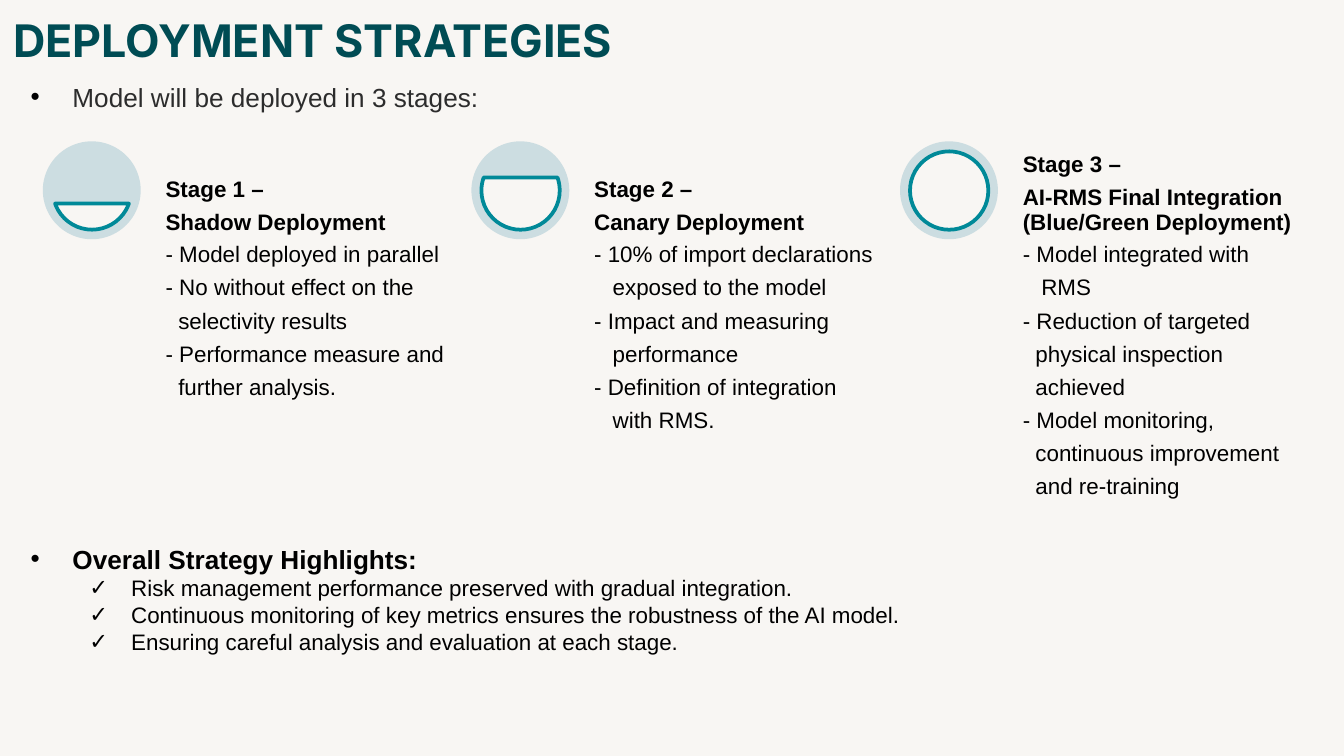
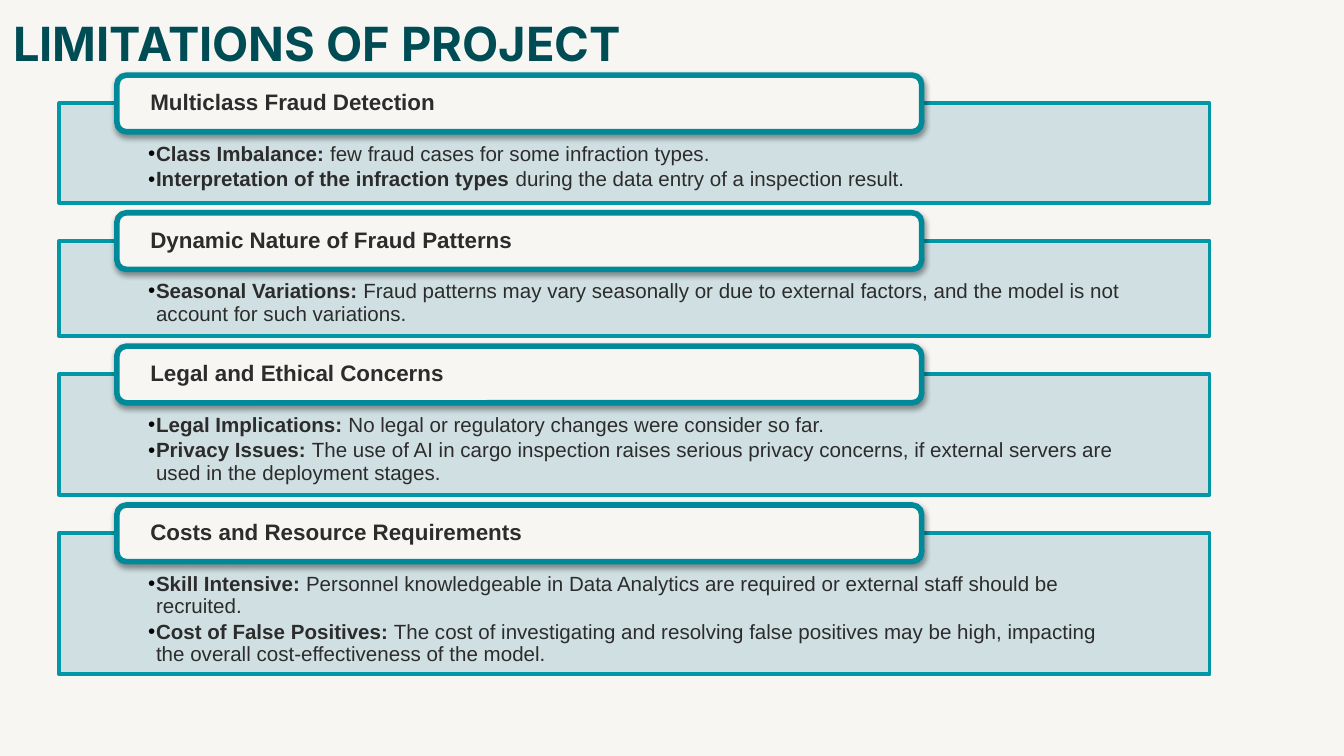
"""Build two slides on deployment strategies and project limitations."""
from dataclasses import dataclass

from lxml.etree import SubElement
from pptx import Presentation
from pptx.dml.color import RGBColor as RGB
from pptx.enum.shapes import MSO_SHAPE as SHAPE
from pptx.enum.text import MSO_ANCHOR as ANCHOR, PP_ALIGN as ALIGN
from pptx.oxml.ns import qn
from pptx.util import Cm, Pt


@dataclass(frozen=True)
class Theme:
    paper: str = "F8F6F3"
    title: str = "004C54"
    ink: str = "2C2C2C"
    black: str = "000000"
    pale: str = "CCDDE1"
    teal: str = "008998"
    edge: str = "0097A7"
    title_font: str = "Inter"
    font: str = "Arial"
    lead: float = 14
    text: float = 12
    detail: float = 11


T = Theme()


def add_box(s, kind, at, fill=None, line=None, inset=(0.25, 0.13, 0.25, 0.13), anchor=ANCHOR.TOP):
    at = [Cm(v) for v in at]
    if kind is None:
        sp = s.shapes.add_textbox(*at)
    else:
        sp = s.shapes.add_shape(kind, *at)
        sp.shadow.inherit = False
        sp.fill.solid()
        sp.fill.fore_color.rgb = RGB.from_string(fill)
        if line:
            sp.line.color.rgb = RGB.from_string(line[0])
            sp.line.width = Pt(line[1])
        else:
            sp.line.fill.background()
    tf = sp.text_frame
    tf.word_wrap = True
    tf.vertical_anchor = anchor
    tf.margin_left, tf.margin_top, tf.margin_right, tf.margin_bottom = [Cm(v) for v in inset]
    return sp


def add_para(tf, runs, size, color=T.black, font=T.font, left=0, hang=0, bullet=None,
             level=0, spacing=None, after=0):
    p = tf.paragraphs[0] if not tf.paragraphs[0].runs else tf.add_paragraph()
    pPr = p._p.get_or_add_pPr()
    pPr.set("marL", str(Cm(left)))
    pPr.set("indent", str(-Cm(hang)))
    if bullet:
        SubElement(SubElement(pPr, qn("a:buClr")), qn("a:srgbClr"), val=T.black)
        SubElement(pPr, qn("a:buFont"), typeface=T.font)
        SubElement(pPr, qn("a:buChar"), char=bullet)
    p.level = level
    p.alignment = ALIGN.LEFT
    p.space_after = Pt(after)
    if spacing:
        p.line_spacing = spacing
    for text, bold in runs:
        r = p.add_run()
        r.text = text
        r.font.name = font
        r.font.size = Pt(size)
        r.font.bold = bold
        r.font.color.rgb = RGB.from_string(color)


prs = Presentation()
prs.slide_width, prs.slide_height = Cm(25.4), Cm(14.28)

slides = []
for title, top, size in [("DEPLOYMENT STRATEGIES", -0.05, 24), ("LIMITATIONS OF PROJECT", 0, 25.2)]:
    s = prs.slides.add_slide(prs.slide_layouts[6])
    s.background.fill.solid()
    s.background.fill.fore_color.rgb = RGB.from_string(T.paper)
    sp = add_box(s, None, (0, top, 23.67, 1.6), inset=[0.25] * 4, anchor=ANCHOR.MIDDLE)
    add_para(sp.text_frame, [(title, True)], size, T.title, T.title_font)
    slides.append(s)
deployment, limitations = slides

sp = add_box(deployment, None, (0.33, 1.4, 22.6, 0.86))
add_para(sp.text_frame, [("Model will be deployed in 3 stages:", False)], T.lead, T.ink,
         left=0.79, hang=0.79, bullet="•")

# Each stage: chord angles in degrees, headings, then lines with their indent in cm.
stages = [
    ((19.47, 160.53), ["Stage 1 –", "Shadow Deployment"],
     [("- Model deployed in parallel", 0), ("- No without effect on the", 0),
      ("selectivity results", 0.24), ("- Performance measure and", 0),
      ("further analysis.", 0.24)]),
    ((340.53, 199.47), ["Stage 2 –", "Canary Deployment"],
     [("- 10% of import declarations", 0), ("exposed to the model", 0.35),
      ("- Impact and measuring", 0), ("performance", 0.35),
      ("- Definition of integration", 0), ("with RMS.", 0.35)]),
    ((270, 270), ["Stage 3 –", "AI-RMS Final Integration (Blue/Green Deployment)"],
     [("- Model integrated with", 0), ("RMS", 0.35), ("- Reduction of targeted", 0),
      ("physical inspection", 0.24), ("achieved", 0.24), ("- Model monitoring,", 0),
      ("continuous improvement", 0.24), ("and re-training", 0.24)]),
]
for i, (angles, headings, lines) in enumerate(stages):
    x = 0.81 + 8.1 * i
    add_box(deployment, SHAPE.OVAL, (x, 2.67, 1.85, 1.85), T.pale)
    chord = add_box(deployment, SHAPE.CHORD, (x + 0.19, 2.86, 1.48, 1.48), T.paper, (T.teal, 2))
    for j, angle in enumerate(angles):
        chord.adjustments[j] = angle * 0.6
    body = add_box(deployment, None, (x + 2.24, 4.52, 5.49, 7.8), inset=[0.08] * 4)
    for text, left in lines:
        add_para(body.text_frame, [(text, False)], T.text, left=left, spacing=0.9, after=4.8)
    head = add_box(deployment, None, (x + 2.24, 2.67, 5.49, 1.85), inset=[0.08] * 4,
                   anchor=ANCHOR.BOTTOM)
    for text in headings:
        add_para(head.text_frame, [(text, True)], T.text, spacing=0.9, after=4.8)

sp = add_box(deployment, None, (0.33, 10.13, 23.37, 2.84))
add_para(sp.text_frame, [("Overall Strategy Highlights:", True)], T.lead,
         left=0.79, hang=0.79, bullet="•")
for text in ["Risk management performance preserved with gradual integration.",
             "Continuous monitoring of key metrics ensures the robustness of the AI model.",
             "Ensuring careful analysis and evaluation at each stage."]:
    add_para(sp.text_frame, [(text, False)], T.text, left=1.9, hang=0.79, bullet="✓", level=1)

concerns = [
    ("Multiclass Fraud Detection", 1.88,
     [("Class Imbalance:", " few fraud cases for some infraction types."),
      ("Interpretation of the infraction types ", "during the data entry of a inspection result.")]),
    ("Dynamic Nature of Fraud Patterns", 1.8,
     [("Seasonal Variations:", " Fraud patterns may vary seasonally or due to external factors, "
       "and the model is not account for such variations.")]),
    ("Legal and Ethical Concerns", 2.28,
     [("Legal Implications: ", "No legal or regulatory changes were consider so far."),
      ("Privacy Issues: ", "The use of AI in cargo inspection raises serious privacy concerns, "
       "if external servers are used in the deployment stages.")]),
    ("Costs and Resource Requirements", 2.67,
     [("Skill Intensive:", " Personnel knowledgeable in Data Analytics are required or external "
       "staff should be recruited."),
      ("Cost of False Positives:", " The cost of investigating and resolving false positives may "
       "be high, impacting the overall cost-effectiveness of the model.")]),
]
y = 1.95
for heading, height, points in concerns:
    panel = add_box(limitations, SHAPE.RECTANGLE, (1.12, y, 21.74, height), T.pale, (T.edge, 2),
                    inset=(1.68, 0.76, 1.68, 0.23))
    SubElement(panel.fill._xPr.find(".//" + qn("a:srgbClr")), qn("a:alpha"), val="90000")
    for label, text in points:
        add_para(panel.text_frame, [(label, True), (text, False)], T.detail, T.ink,
                 left=0.15, hang=0.15, bullet="•", level=1, spacing=0.9, after=1.9)
    tab = add_box(limitations, SHAPE.ROUNDED_RECTANGLE, (2.21, y - 0.53, 15.21, 1.07), T.paper,
                  (T.teal, 3), inset=(0.58, 0, 0.58, 0), anchor=ANCHOR.MIDDLE)
    shadow = SubElement(tab._element.spPr.find(qn("a:effectLst")), qn("a:outerShdw"),
                        blurRad=str(Pt(3.1)), dist=str(Pt(1.6)), dir="5400000", rotWithShape="0")
    SubElement(SubElement(shadow, qn("a:srgbClr"), val=T.black), qn("a:alpha"), val="38000")
    add_para(tab.text_frame, [(heading, True)], T.text, T.ink, spacing=0.9, after=4.8)
    y += height + 0.72

prs.save("out.pptx")
